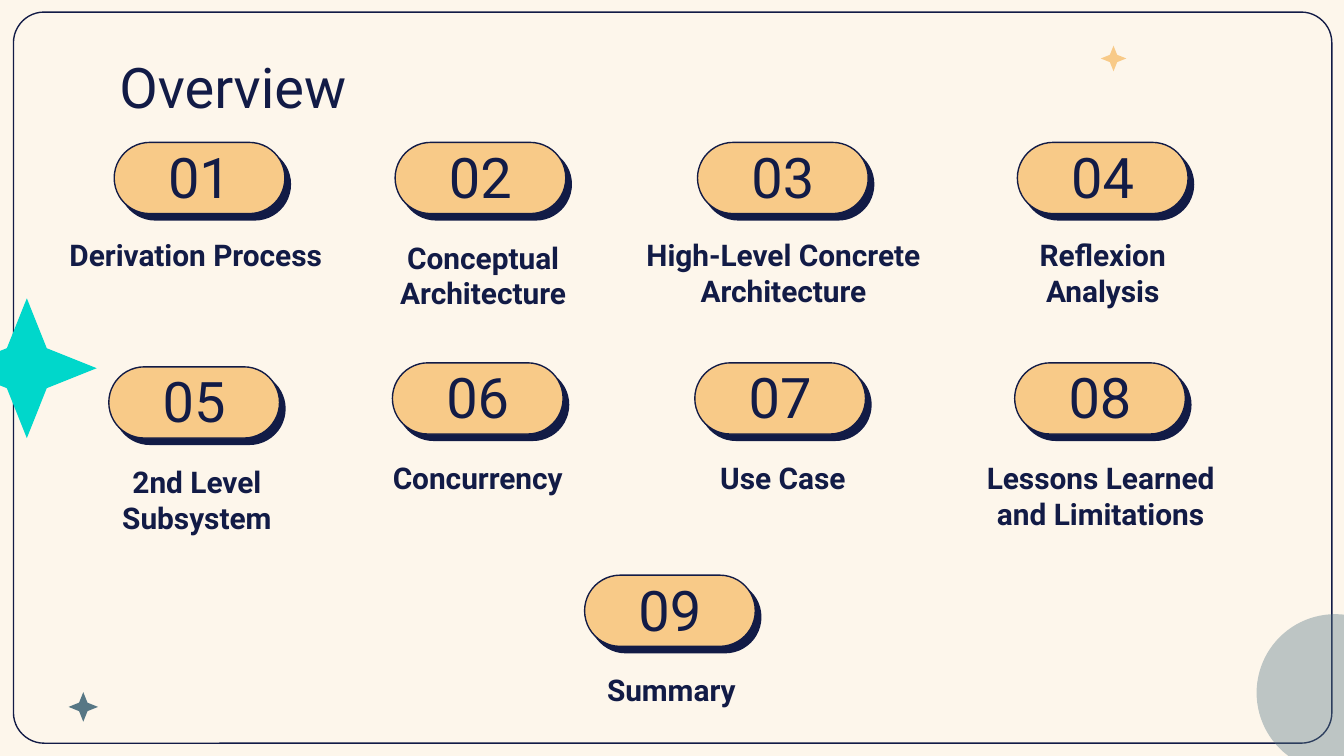
from lxml.etree import SubElement
from pptx import Presentation
from pptx.dml.color import RGBColor
from pptx.enum.shapes import MSO_SHAPE
from pptx.enum.text import MSO_ANCHOR, PP_ALIGN
from pptx.oxml.ns import qn
from pptx.util import Inches, Pt

COLORS = {
    "cream": "FDF6EB",
    "navy": "121B46",
    "sand": "F8CA88",
    "teal": "00D7CB",
    "slate": "577785",
}
FONT = "Roboto"
PILL_W, PILL_H = 1.27, 0.53

# number, pill (left, top), topic, topic box (left, top, width, height)
TOPICS = [
    ("01", (0.85, 1.06), "Derivation Process ", (0.41, 1.66, 2.15, 0.75)),
    ("02", (2.94, 1.06), "Conceptual Architecture", (2.52, 1.68, 2.15, 0.79)),
    ("03", (5.19, 1.06), "High-Level Concrete Architecture", (4.53, 1.66, 2.6, 0.68)),
    ("04", (7.57, 1.06), "Reflexion Analysis", (7.2, 1.66, 2.01, 0.68)),
    ("05", (0.81, 2.73), "2nd Level Subsystem", (0.64, 3.35, 1.65, 0.72)),
    ("06", (2.92, 2.7), "Concurrency", (2.48, 3.32, 2.15, 0.75)),
    ("07", (5.17, 2.7), "Use Case", (5.07, 3.32, 1.51, 0.46)),
    ("08", (7.55, 2.7), "Lessons Learned and Limitations", (7.17, 3.32, 2.04, 0.53)),
    ("09", (4.35, 4.28), "Summary", (4.17, 4.9, 1.65, 0.72)),
]

# left, top, size, colour
STARS = [
    (-0.32, 2.22, 1.04, "teal"),
    (0.51, 5.15, 0.22, "slate"),
    (8.19, 0.34, 0.19, "sand"),
]


def rgb(name):
    return RGBColor.from_string(COLORS[name])


def add_color(parent, name, alpha):
    """Append an RGB colour element, with alpha in percent."""
    clr = SubElement(parent, qn("a:srgbClr"), val=COLORS[name])
    SubElement(clr, qn("a:alpha"), val=str(alpha * 1000))


def add_shape(slide, kind, box, fill=None, line=None, adj=None):
    sp = slide.shapes.add_shape(kind, *map(Inches, box))
    sp.shadow.inherit = False
    if adj is not None:
        sp.adjustments[0] = adj
    if fill:
        sp.fill.solid()
        sp.fill.fore_color.rgb = rgb(fill)
    else:
        sp.fill.background()
    if line:
        sp.line.color.rgb = rgb(line)
        sp.line.width = Pt(0.75)
    else:
        sp.line.fill.background()
    return sp


def add_text(slide, text, box, size=16, bold=False, align=PP_ALIGN.CENTER,
             anchor=MSO_ANCHOR.TOP):
    tf = slide.shapes.add_textbox(*map(Inches, box)).text_frame
    tf.word_wrap = True
    tf.vertical_anchor = anchor
    tf.margin_left = tf.margin_right = Inches(0.1)
    tf.margin_top = tf.margin_bottom = Inches(0.1)
    p = tf.paragraphs[0]
    p.alignment = align
    r = p.add_run()
    r.text = text
    r.font.name = FONT
    r.font.size = Pt(size)
    r.font.bold = bold
    r.font.color.rgb = rgb("navy")


def add_hard_shadow(sp):
    """Give the shape a solid navy shadow to the lower right."""
    effects = sp._element.spPr.find(qn("a:effectLst"))
    shadow = SubElement(effects, qn("a:outerShdw"), blurRad="0",
                        dist=str(Pt(4.5)), dir=str(49 * 60000),
                        algn="bl", rotWithShape="0")
    add_color(shadow, "navy", 100)


def add_topic(slide, number, pill, topic, topic_box):
    left, top = pill
    sp = add_shape(slide, MSO_SHAPE.ROUNDED_RECTANGLE,
                   (left, top, PILL_W, PILL_H), "sand", "navy", 0.5)
    add_hard_shadow(sp)
    add_text(slide, number, (left, top + 0.11, PILL_W, 0.49), size=30,
             anchor=MSO_ANCHOR.BOTTOM)
    add_text(slide, topic, topic_box, bold=True)


def add_decoration(slide):
    add_shape(slide, MSO_SHAPE.ROUNDED_RECTANGLE, (0.1, 0.09, 9.81, 5.44),
              line="navy", adj=0.042)
    circle = add_shape(slide, MSO_SHAPE.OVAL, (9.35, 4.57, 1.17, 1.17), "slate")
    fill = circle._element.spPr.find(qn("a:solidFill"))
    fill.clear()
    add_color(fill, "slate", 38)
    for left, top, size, color in STARS:
        add_shape(slide, MSO_SHAPE.STAR_4_POINT, (left, top, size, size), color,
                  adj=0.202)


def main():
    prs = Presentation()
    prs.slide_width = Inches(10)
    prs.slide_height = Inches(10 * 9 / 16)
    slide = prs.slides.add_slide(prs.slide_layouts[6])
    slide.background.fill.solid()
    slide.background.fill.fore_color.rgb = rgb("cream")

    add_decoration(slide)
    add_text(slide, "Overview", (0.79, 0.29, 8.43, 0.63), size=30,
             align=PP_ALIGN.LEFT)
    for topic in TOPICS:
        add_topic(slide, *topic)

    prs.save("out.pptx")


if __name__ == "__main__":
    main()
